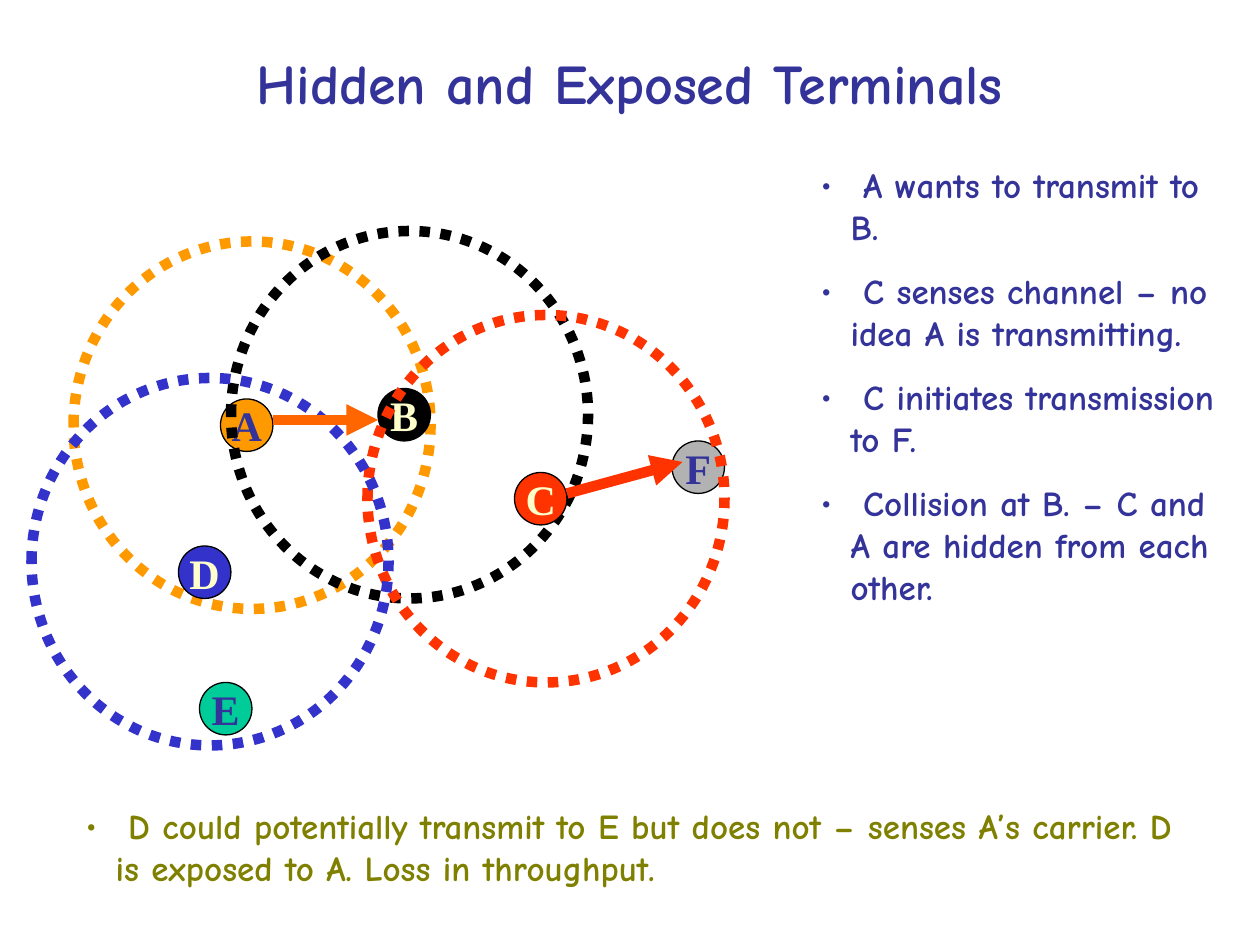
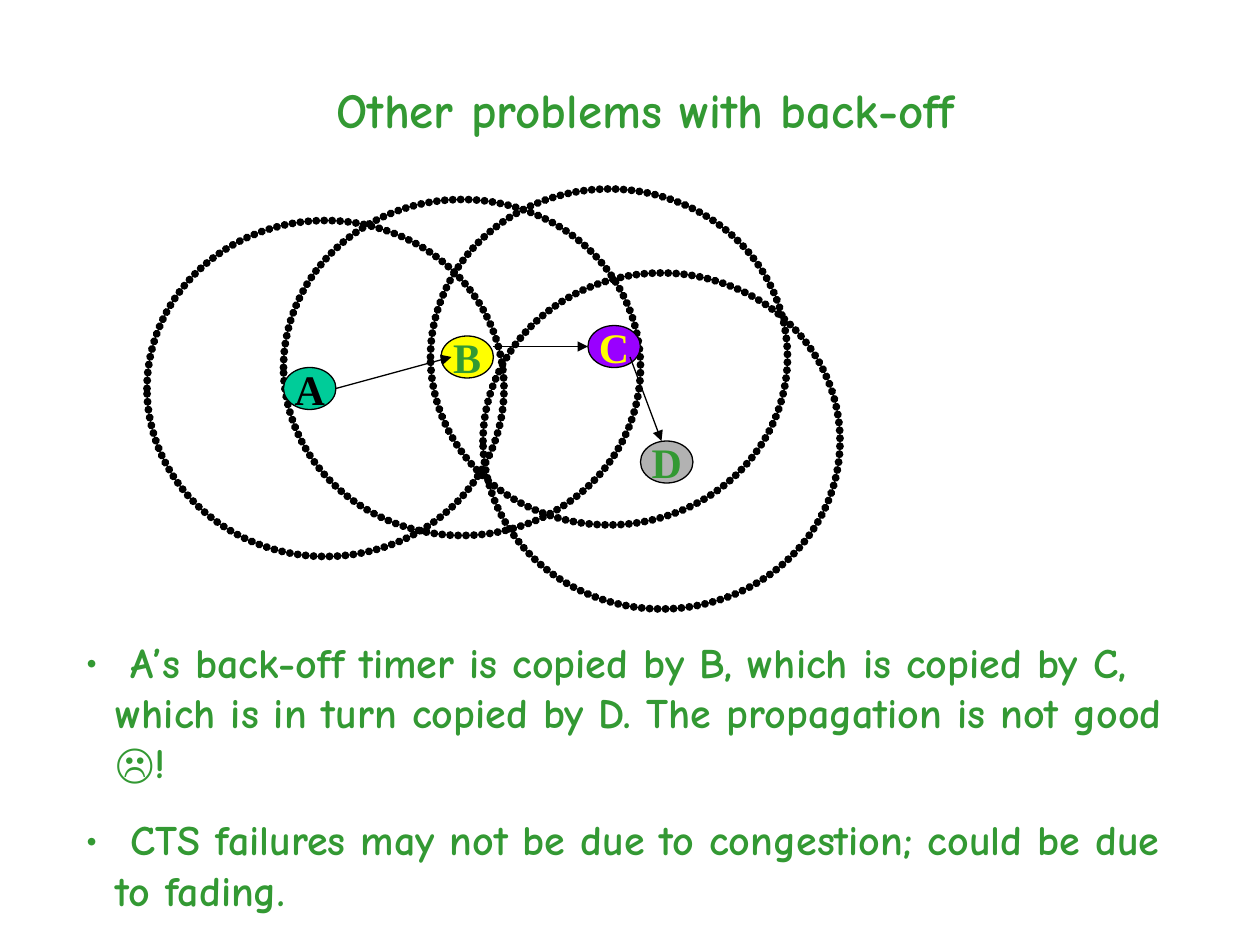
from pptx import Presentation
from pptx.dml.color import RGBColor
from pptx.enum.shapes import MSO_CONNECTOR as Link, MSO_SHAPE as Preset
from pptx.enum.text import MSO_ANCHOR as Anchor, PP_ALIGN as Align
from pptx.oxml import parse_xml
from pptx.oxml.ns import nsdecls, qn
from pptx.util import Pt

COLORS = {
    "navy": "333399", "blue": "3333CC", "orange": "FF9900", "dark orange": "FF6600",
    "red": "FF3300", "teal": "00CC99", "gray": "B2B2B2", "cream": "FFFFCC",
    "olive": "808000", "green": "339933", "yellow": "FFFF00", "purple": "9900FF",
    "black": "000000",
}
HAND_FONT, NODE_FONT, SYMBOL_FONT = "Comic Neue", "Times New Roman", "Arial"
SYMBOL = "☹"
BULLET_INDENT = 17
SQUARE_DOTS = '<a:prstDash {} val="sysDot"/>'
TOUCHING_DOTS = '<a:custDash {}><a:ds d="1000" sp="100000"/></a:custDash>'


def rgb(color):
    return RGBColor.from_string(COLORS[color])


def write(frame, text, font=HAND_FONT, size=20, color="navy", before=0,
          bullet=False, wrap=True, anchor=Anchor.TOP):
    """Fill the frame with one paragraph for each line of text."""
    frame.word_wrap = wrap
    frame.vertical_anchor = anchor
    for index, line in enumerate(text.split("\n")):
        paragraph = frame.add_paragraph() if index else frame.paragraphs[0]
        paragraph.alignment = Align.LEFT if bullet else Align.CENTER
        paragraph.space_before = Pt(before)
        if bullet:
            props = paragraph._p.get_or_add_pPr()
            props.set("marL", str(Pt(BULLET_INDENT)))
            props.set("indent", str(-Pt(BULLET_INDENT)))
            for mark in (
                f'<a:buClr {nsdecls("a")}><a:srgbClr val="{COLORS[color]}"/></a:buClr>',
                f'<a:buFont {nsdecls("a")} typeface="{HAND_FONT}"/>',
                f'<a:buChar {nsdecls("a")} char="•"/>',
            ):
                props.append(parse_xml(mark))
        for piece in filter(None, line.partition(SYMBOL)):
            run = paragraph.add_run()
            run.text = piece
            run.font.name = SYMBOL_FONT if piece == SYMBOL else font
            run.font.size = Pt(size)
            run.font.bold = True
            run.font.color.rgb = rgb(color)


# Texts: box, text, format. Nodes: letter, left, top, fill, letter colour.
# Ranges: None, left, top, line colour. Arrows: start, end, colour.
hidden_terminals = {
    "texts": [
        ((72, 24, 576, 46), "Hidden and Exposed Terminals", dict(size=32)),
        ((462, 90, 240, 260),
         " A wants to transmit to B.\n"
         " C senses channel – no idea A is transmitting.\n"
         " C initiates transmission to F.\n"
         " Collision at B. – C and A are hidden from each other.",
         dict(before=12.5, bullet=True)),
        ((42, 456, 642, 55),
         " D could potentially transmit to E but does not – senses A’s carrier. "
         "D is exposed to A. Loss in throughput.",
         dict(color="olive", before=12.5, bullet=True)),
    ],
    "node size": (30, 30), "range size": (204, 210),
    "range width": 6, "arrow width": 6, "dots": SQUARE_DOTS, "cap": "flat",
    "ellipses": [
        ("A", 126, 228, "orange", "navy"),
        (None, 42, 138, "orange", None),
        ("B", 216, 222, "black", "cream"),
        (None, 132, 132, "black", None),
        ("C", 294, 270, "red", "cream"),
        ("D", 102, 312, "blue", "cream"),
        ("F", 384, 252, "gray", "navy"),
        ("E", 114, 390, "teal", "navy"),
        (None, 210, 180, "red", None),
        (None, 18, 216, "blue", None),
    ],
    "arrows": [((156, 240), (216, 240), "dark orange"),
               ((324, 282), (390, 264), "red")],
}
back_off = {
    "texts": [
        ((114, 42, 510, 41), "Other problems with back-off",
         dict(size=28, color="green", before=17.5)),
        ((42, 360, 642, 166),
         " A’s back-off timer is copied by B, which is copied by C, which is in "
         "turn copied by D. The propagation is not good ☹!\n"
         " CTS failures may not be due to congestion; could be due to fading.",
         dict(size=24, color="green", before=15, bullet=True)),
    ],
    "node size": (30, 24), "range size": (204, 192),
    "range width": 4.5, "arrow width": 0.75, "dots": TOUCHING_DOTS, "cap": "rnd",
    "ellipses": [
        (None, 84, 126, "black", None),
        (None, 276, 156, "black", None),
        (None, 246, 108, "black", None),
        (None, 162, 114, "black", None),
        ("A", 162, 210, "teal", "black"),
        ("B", 252, 192, "yellow", "green"),
        ("C", 336, 186, "purple", "yellow"),
        ("D", 366, 252, "gray", "green"),
    ],
    "arrows": [((192, 222), (258, 204), "black"),
               ((282, 198), (336, 198), "black"),
               ((360, 204), (378, 252), "black")],
}

deck = Presentation()
deck.slide_width, deck.slide_height = Pt(720), Pt(540)

for topic in (hidden_terminals, back_off):
    shapes = deck.slides.add_slide(deck.slide_layouts[6]).shapes

    for letter, left, top, color, letter_color in topic["ellipses"]:
        size = topic["node size" if letter else "range size"]
        ellipse = shapes.add_shape(Preset.OVAL, *map(Pt, (left, top, *size)))
        ellipse.shadow.inherit = False
        if letter:
            ellipse.fill.solid()
            ellipse.fill.fore_color.rgb = rgb(color)
            ellipse.line.color.rgb = rgb("black")
            ellipse.line.width = Pt(0.75)
            write(ellipse.text_frame, letter, font=NODE_FONT, size=24,
                  color=letter_color, wrap=False, anchor=Anchor.MIDDLE)
        else:
            ellipse.fill.background()
            ellipse.line.color.rgb = rgb(color)
            ellipse.line.width = Pt(topic["range width"])
            outline = ellipse._element.spPr.find(qn("a:ln"))
            outline.set("cap", topic["cap"])
            outline.append(parse_xml(topic["dots"].format(nsdecls("a"))))

    for start, end, color in topic["arrows"]:
        arrow = shapes.add_connector(Link.STRAIGHT, *map(Pt, start + end))
        arrow.line.color.rgb = rgb(color)
        arrow.line.width = Pt(topic["arrow width"])
        props = arrow._element.spPr
        props.find(qn("a:ln")).append(
            parse_xml(f'<a:tailEnd {nsdecls("a")} type="triangle"/>'))
        props.append(parse_xml(f'<a:effectLst {nsdecls("a")}/>'))

    for box, text, text_format in topic["texts"]:
        write(shapes.add_textbox(*map(Pt, box)).text_frame, text, **text_format)

deck.save("out.pptx")
